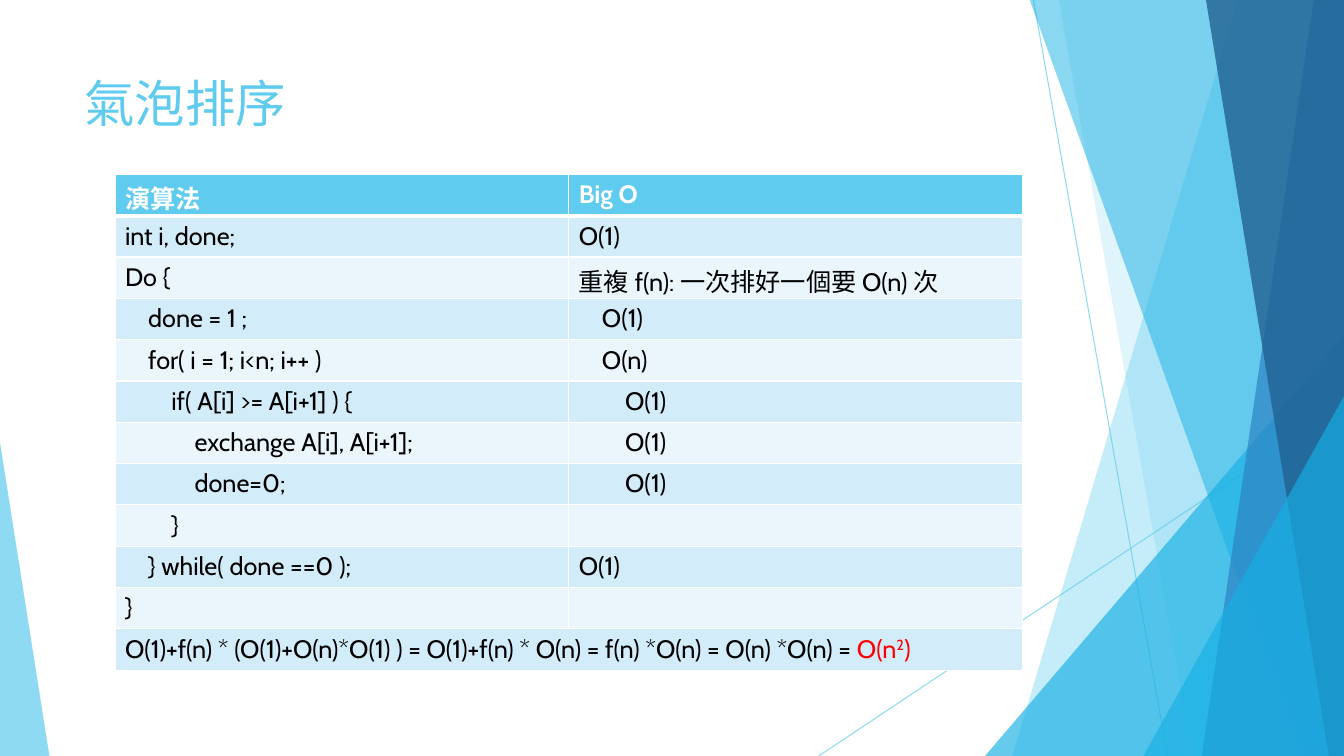
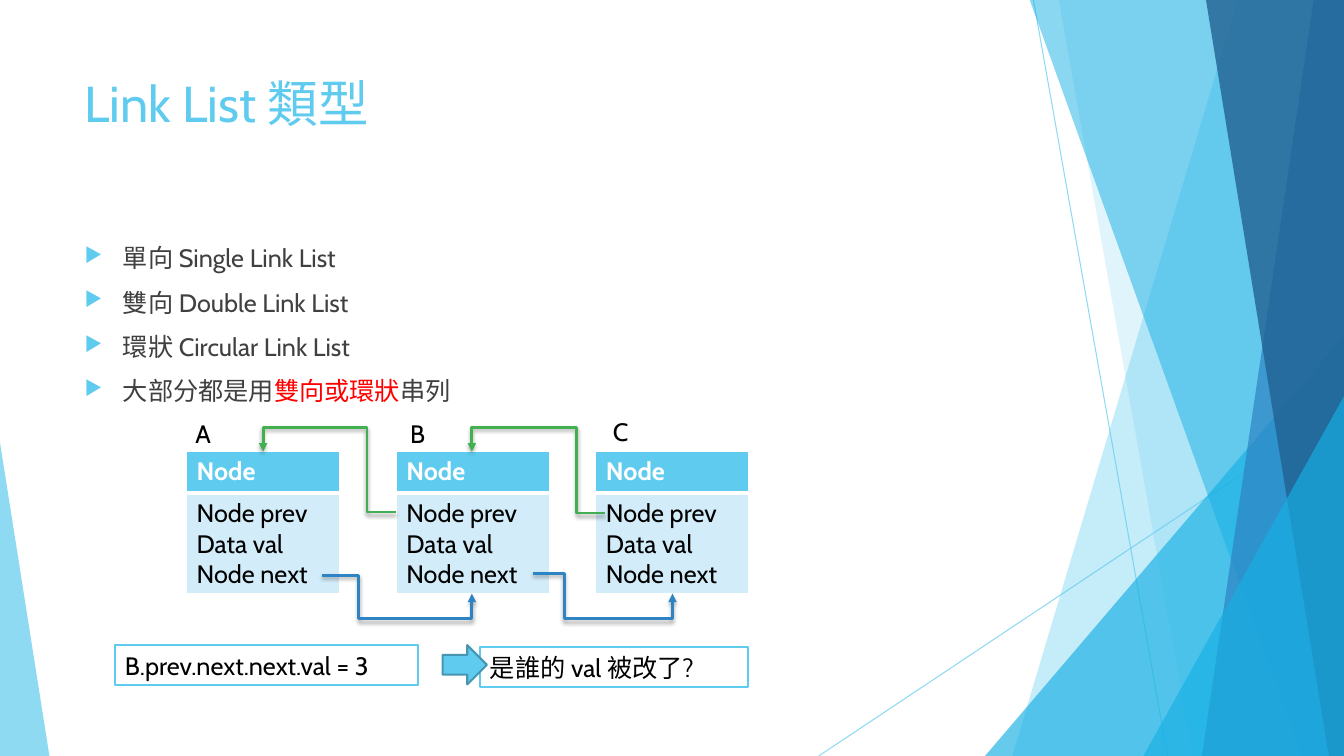
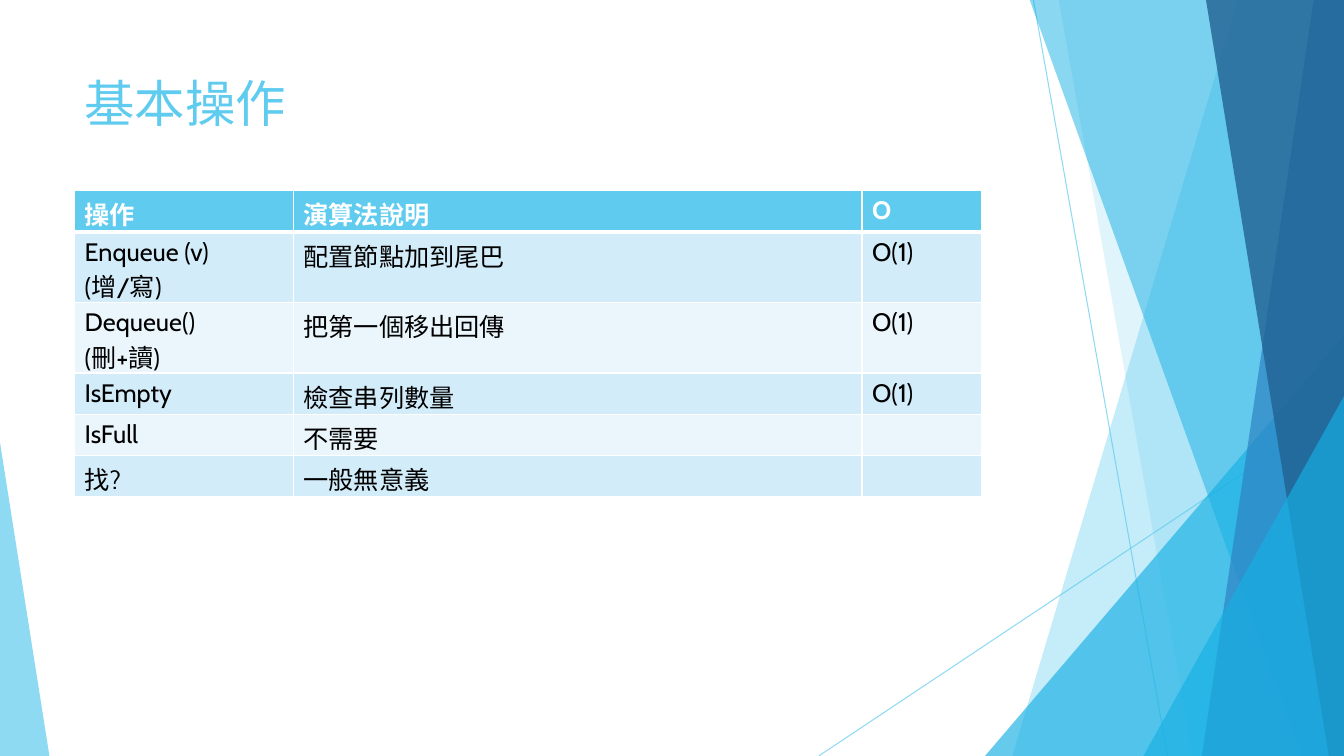
from lxml import etree
from pptx import Presentation
from pptx import util as u
from pptx.dml.color import RGBColor
from pptx.enum import shapes, text
from pptx.oxml.ns import qn

FONT = "Cabin"
SKY, AZURE, BLUE, NAVY = "5FCBEF", "17B0E4", "2E83C3", "226292"
WHITE, BLACK, GREY, RED, GREEN = "FFFFFF", "000000", "404040", "FF0000", "42B051"
ROW_FILLS = ("D2ECF9", "EAF6FC")
WIDTH, HEIGHT = 13.33, 7.5
ROW = 0.41
CODE_INDENT = 0.23

# Top x, bottom x, colour and opacity of the bands that reach the right edge
BACK_BANDS = [(12.28, 10.04, SKY, 36), (10.5, 11.83, SKY, 20)]
FRONT_BANDS = [(10.21, 12.91, AZURE, 50), (13.03, 11.92, BLUE, 70), (11.96, 13.18, NAVY, 80)]


def rgb(value):
    return RGBColor.from_string(value)


def add_xml(parent, tag, **attributes):
    return etree.SubElement(parent, qn(tag), {k: str(v) for k, v in attributes.items()})


def set_opacity(properties, percent):
    """Make the solid colour found inside the given element translucent."""
    color = next(properties.iter(qn("a:srgbClr")))
    add_xml(color, "a:alpha", val=percent * 1000)


def set_borders(cell, bottom=1):
    properties = cell._tc.get_or_add_tcPr()
    for side in "LRTB":
        points = bottom if side == "B" else 1
        line = add_xml(properties, f"a:ln{side}", w=u.Pt(points))
        add_xml(add_xml(line, "a:solidFill"), "a:srgbClr", val=WHITE)


def indent(para, left, first=0):
    properties = para._p.get_or_add_pPr()
    properties.set("marL", str(u.Inches(left)))
    properties.set("indent", str(u.Inches(first)))
    return properties


class Deck:
    def __init__(self):
        self.deck = Presentation()
        self.deck.slide_width = u.Inches(WIDTH)
        self.deck.slide_height = u.Inches(HEIGHT)
        self.page = None

    def new_page(self, title):
        self.page = self.deck.slides.add_slide(self.deck.slide_layouts[6])
        self.backdrop()
        self.textbox((0.74, 0.67, 9.4, 1.44), [title], SKY, 36)

    def backdrop(self):
        for start, end in [((10.25, 0), (11.58, HEIGHT)), ((WIDTH, 4.03), (8.12, HEIGHT))]:
            line = self.connector(shapes.MSO_CONNECTOR.STRAIGHT, start, end, SKY, 0.75)
            set_opacity(line.line._ln, 70)
            add_xml(line._element.spPr, "a:effectLst")
        for band in BACK_BANDS:
            self.band(*band)
        self.triangle((9.77, 3.33, 3.56, 4.17), 1, AZURE, 66)
        for band in FRONT_BANDS:
            self.band(*band)
        self.triangle((11.34, 3.93, 1.99, 3.57), 1, AZURE, 66)
        self.triangle((0, 4.39, 0.49, 3.11), 0, SKY, 70)

    def paint(self, shape, fill, line=None):
        shape.shadow.inherit = False
        shape.fill.solid()
        shape.fill.fore_color.rgb = rgb(fill)
        if line:
            shape.line.color.rgb = rgb(line)
            shape.line.width = u.Pt(1.5)
        else:
            shape.line.fill.background()
        return shape

    def band(self, top_x, bottom_x, color, opacity):
        corners = [(top_x, -0.01), (WIDTH, -0.01), (WIDTH, HEIGHT), (bottom_x, HEIGHT)]
        points = [(u.Inches(x), u.Inches(y)) for x, y in corners]
        outline = self.page.shapes.build_freeform(*points[0])
        outline.add_line_segments(points[1:], close=True)
        shape = self.paint(outline.convert_to_shape(), color)
        set_opacity(shape._element.spPr, opacity)

    def shape(self, kind, place, fill, line=None):
        shape = self.page.shapes.add_shape(kind, *map(u.Inches, place))
        return self.paint(shape, fill, line)

    def triangle(self, place, apex, color, opacity):
        shape = self.shape(shapes.MSO_SHAPE.ISOSCELES_TRIANGLE, place, color)
        shape.adjustments[0] = apex
        set_opacity(shape._element.spPr, opacity)

    def fill_text(self, frame, lines, color=BLACK, size=18, bold=False):
        """Fill a frame; a line is a string or a list of (words, colour) pairs."""
        for number, line in enumerate(lines):
            para = frame.paragraphs[0] if number == 0 else frame.add_paragraph()
            para.alignment = text.PP_ALIGN.LEFT
            for words, tint in [(line, color)] if isinstance(line, str) else line:
                span = para.add_run()
                span.text = words
                span.font.name = FONT
                span.font.size = u.Pt(size)
                span.font.bold = bold
                span.font.color.rgb = rgb(tint)

    def textbox(self, place, lines, color=BLACK, size=18):
        frame = self.page.shapes.add_textbox(*map(u.Inches, place)).text_frame
        frame.word_wrap = True
        self.fill_text(frame, lines, color, size)
        return frame

    def bullets(self, place, lines):
        for para in self.textbox(place, lines, GREY).paragraphs:
            para.space_before = u.Pt(10)
            properties = indent(para, 0.38, -0.38)
            add_xml(add_xml(properties, "a:buClr"), "a:srgbClr", val=SKY)
            add_xml(properties, "a:buSzPct", val=80000)
            add_xml(properties, "a:buChar", char="▶")

    def framed_text(self, place, words):
        frame = self.shape(shapes.MSO_SHAPE.RECTANGLE, place, WHITE, SKY).text_frame
        frame.word_wrap = True
        frame.auto_size = text.MSO_AUTO_SIZE.SHAPE_TO_FIT_TEXT
        self.fill_text(frame, [words])

    def table(self, left, top, widths, rows, heights=None):
        heights = heights or [ROW] * len(rows)
        place = (left, top, sum(widths), sum(heights))
        table = self.page.shapes.add_table(
            len(rows), len(widths), *map(u.Inches, place)).table
        table.horz_banding = False
        for column, width in zip(table.columns, widths):
            column.width = u.Inches(width)
        for r, (row, height) in enumerate(zip(rows, heights)):
            table.rows[r].height = u.Inches(height)
            header = r == 0
            for c, words in enumerate(row):
                cell = table.cell(r, c)
                set_borders(cell, 3 if header else 1)
                cell.fill.solid()
                cell.fill.fore_color.rgb = rgb(SKY if header else ROW_FILLS[(r - 1) % 2])
                if words:
                    self.fill_text(cell.text_frame, words.split("\n"),
                                   WHITE if header else BLACK, bold=header)
        return table

    def connector(self, kind, start, end, color, width):
        line = self.page.shapes.add_connector(kind, *map(u.Inches, (*start, *end)))
        line.line.color.rgb = rgb(color)
        line.line.width = u.Pt(width)
        return line

    def elbow_arrow(self, start, turn, end, color):
        """Arrow that leaves sideways to turn's x, runs at turn's y, then enters end.

        It runs down to the right, or up to the left by a half turn.
        """
        top_left, bottom_right = sorted([start, end])
        arrow = self.connector(shapes.MSO_CONNECTOR.ELBOW, top_left, bottom_right, color, 2)
        properties = arrow._element.spPr
        if start != top_left:
            properties.find(qn("a:xfrm")).set("rot", "10800000")
        geometry = properties.find(qn("a:prstGeom"))
        geometry.set("prst", "bentConnector4")
        guides = geometry.find(qn("a:avLst"))
        if guides is None:
            guides = add_xml(geometry, "a:avLst")
        for axis in (0, 1):
            share = (turn[axis] - start[axis]) / (end[axis] - start[axis])
            add_xml(guides, "a:gd", name=f"adj{axis + 1}", fmla=f"val {round(share * 100000)}")
        add_xml(arrow.line._ln, "a:tailEnd", type="triangle")
        shadow = add_xml(add_xml(properties, "a:effectLst"), "a:outerShdw",
                         blurRad=u.Pt(3), dist=u.Pt(2), dir=5400000, rotWithShape=0)
        add_xml(shadow, "a:srgbClr", val=BLACK)
        set_opacity(shadow, 35)


def bubble_sort(deck):
    deck.new_page("氣泡排序")
    steps = [
        (0, "int i, done;", 0, "O(1)"),
        (0, "Do {", 0, "重複 f(n): 一次排好一個要 O(n) 次"),
        (1, "done = 1 ;", 1, "O(1)"),
        (1, "for( i = 1; i<n; i++ )", 1, "O(n)"),
        (2, "if( A[i] >= A[i+1] ) {", 2, "O(1)"),
        (3, "exchange A[i], A[i+1];", 2, "O(1)"),
        (3, "done=0;", 2, "O(1)"),
        (2, "}", 0, ""),
        (1, "} while( done ==0 );", 0, "O(1)"),
        (0, "}", 0, ""),
    ]
    rows = [("演算法", "Big O"), *[(code, cost) for _, code, _, cost in steps], ("", "")]
    table = deck.table(1.14, 1.73, [4.5, 4.5], rows)
    for r, (code_level, _, cost_level, _) in enumerate(steps, 1):
        for c, level in enumerate((code_level, cost_level)):
            if level:
                indent(table.cell(r, c).text_frame.paragraphs[0], level * CODE_INDENT)
    total = table.cell(len(rows) - 1, 0)
    total.merge(table.cell(len(rows) - 1, 1))
    formula = "O(1)+f(n) * (O(1)+O(n)*O(1) ) = O(1)+f(n) * O(n) = f(n) *O(n) = O(n) *O(n) = "
    deck.fill_text(total.text_frame, [[(formula, BLACK), ("O(n", RED), ("2", RED), (")", RED)]])
    exponent = total.text_frame.paragraphs[0].runs[2]
    exponent._r.get_or_add_rPr().set("baseline", "30000")


def link_list(deck):
    deck.new_page("Link List 類型")
    deck.bullets((0.74, 2.36, 9.4, 4.24), [
        "單向 Single Link List",
        "雙向 Double Link List",
        "環狀 Circular Link List",
        [("大部分都是用", GREY), ("雙向或環狀", RED), ("串列", GREY)],
    ])
    node = [("Node",), ("Node prev\nData val\nNode next",)]
    for name, left, label_left, label_top in [
            ("A", 1.85, 1.84, 4.1), ("B", 3.93, 3.97, 4.1), ("C", 5.91, 5.98, 4.08)]:
        deck.table(left, 4.48, [1.52], node, [ROW, 1])
        deck.textbox((label_left, label_top, 1.71, 0.4), [name])
    deck.framed_text((4.76, 6.42, 2.66, 0.4), "是誰的 val 被改了?")
    deck.shape(shapes.MSO_SHAPE.RIGHT_ARROW, (4.39, 6.4, 0.44, 0.39), SKY, "4696B1")
    deck.framed_text((1.14, 6.4, 3.01, 0.4), "B.prev.next.next.val = 3")
    for start, turn, end, color in [
            ((3.93, 5.08), (3.64, 4.24), (2.61, 4.48), GREEN),
            ((6, 5.09), (5.72, 4.24), (4.68, 4.48), GREEN),
            ((3.19, 5.71), (3.56, 6.14), (4.68, 5.89), BLUE),
            ((5.29, 5.69), (5.6, 6.14), (6.67, 5.89), BLUE)]:
        deck.elbow_arrow(start, turn, end, color)


def basic_operations(deck):
    deck.new_page("基本操作")
    deck.table(0.74, 1.89, [2.17, 5.64, 1.19], [
        ("操作", "演算法說明", "O"),
        ("Enqueue (v)\n(增/寫)", "配置節點加到尾巴", "O(1)"),
        ("Dequeue()\n(刪+讀)", "把第一個移出回傳", "O(1)"),
        ("IsEmpty", "檢查串列數量", "O(1)"),
        ("IsFull", "不需要", ""),
        ("找?", "一般無意義", ""),
    ])


def main():
    deck = Deck()
    bubble_sort(deck)
    link_list(deck)
    basic_operations(deck)
    deck.deck.save("out.pptx")


if __name__ == "__main__":
    main()
